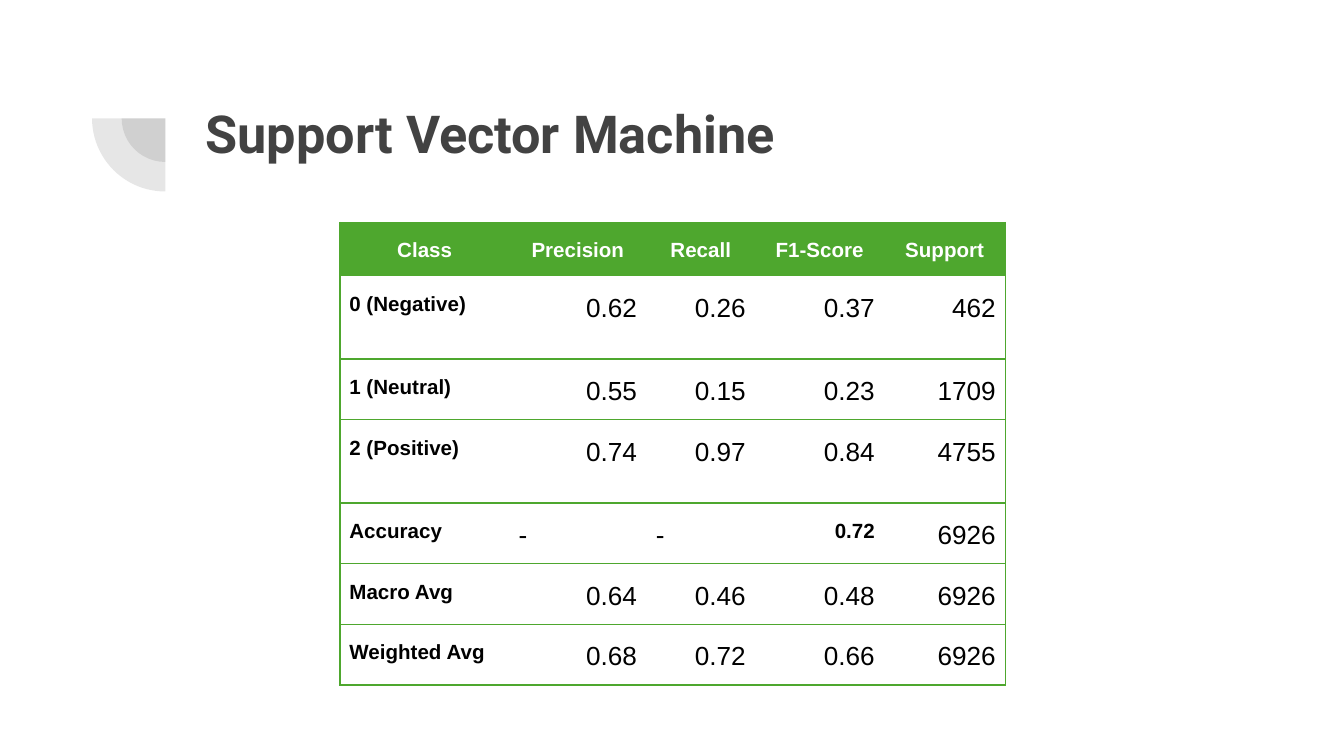
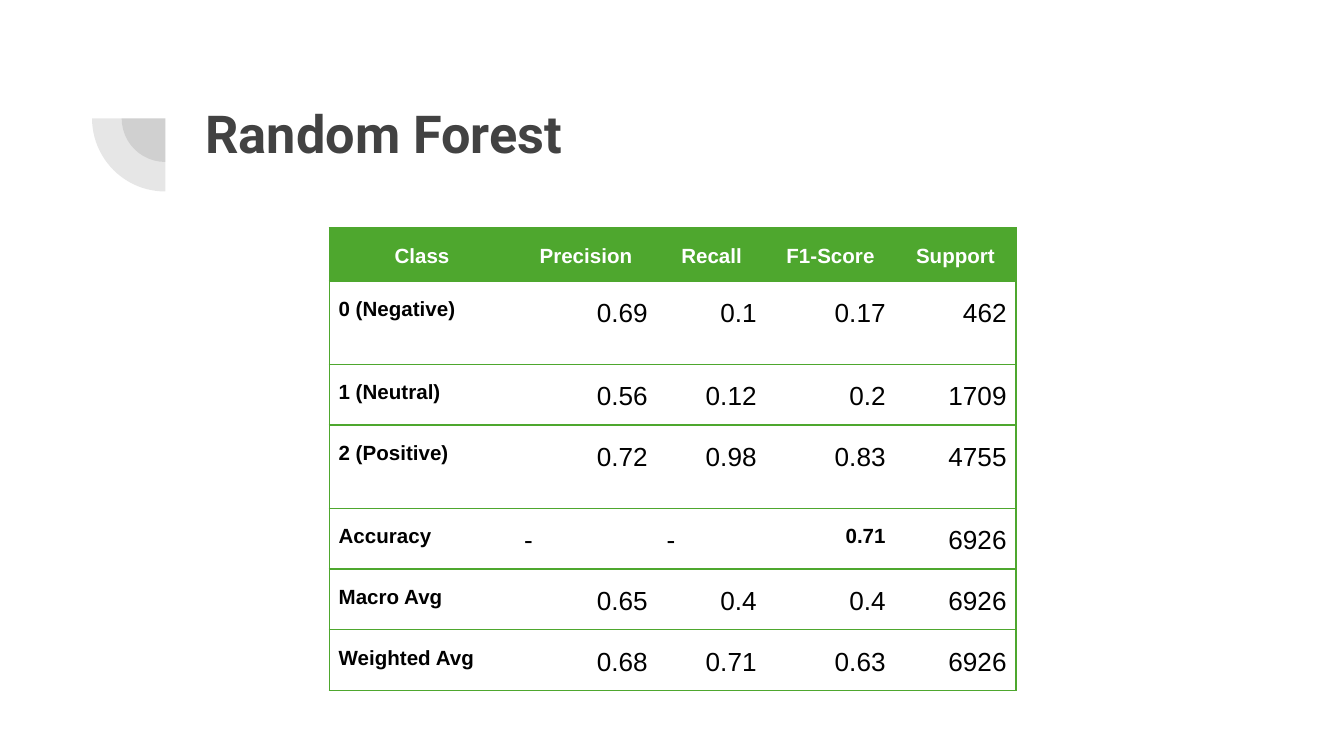
from dataclasses import dataclass

from lxml import etree
from pptx import Presentation
from pptx import util as u
from pptx.dml.color import RGBColor
from pptx.enum import shapes, text
from pptx.oxml import ns

HEADER = ("Class", "Precision", "Recall", "F1-Score", "Support")
SLIDES = [
    {
        "title": "Support Vector Machine",
        "corner": (2.53, 1.15),
        "columns": (1.26, 1.02, 0.81, 0.96, 0.9),
        "merge_top": True,
        "scores": [
            ("0 (Negative)", "0.62", "0.26", "0.37", "462"),
            ("1 (Neutral)", "0.55", "0.15", "0.23", "1709"),
            ("2 (Positive)", "0.74", "0.97", "0.84", "4755"),
            ("Accuracy", "-", "-", "0.72", "6926"),
            ("Macro Avg", "0.64", "0.46", "0.48", "6926"),
            ("Weighted Avg", "0.68", "0.72", "0.66", "6926"),
        ],
    },
    {
        "title": "Random Forest",
        "corner": (2.45, 1.19),
        "columns": (1.38, 1.06, 0.81, 0.96, 0.9),
        "merge_top": False,
        "scores": [
            ("0 (Negative)", "0.69", "0.1", "0.17", "462"),
            ("1 (Neutral)", "0.56", "0.12", "0.2", "1709"),
            ("2 (Positive)", "0.72", "0.98", "0.83", "4755"),
            ("Accuracy", "-", "-", "0.71", "6926"),
            ("Macro Avg", "0.65", "0.4", "0.4", "6926"),
            ("Weighted Avg", "0.68", "0.71", "0.63", "6926"),
        ],
    },
]
SLIDE_WIDTH = u.Inches(10)
SLIDE_HEIGHT = SLIDE_WIDTH * 9 // 16
ROW_HEIGHTS = (0.22, 0.21, 0.62, 0.42, 0.62, 0.21, 0.42, 0.42)
TITLE_BOX = (1.43, 0.65, 7.69, 0.67)
PIE_CENTRE = (1.23, 0.88)
PIE_SIZES = (0.65, 1.09)
NO_GRID_STYLE = "{2D5ABB26-0587-4C30-8999-92F81FD0307C}"


@dataclass(frozen=True)
class Theme:
    dark: str = "424242"
    green: str = "4EA72E"
    white: str = "FFFFFF"
    black: str = "000000"
    title_font: str = "Roboto"
    table_font: str = "Arial"
    title_size: int = 28
    label_size: int = 11
    value_size: int = 14
    line_spacing: float = 1.15
    border: float = 0.75
    pie_opacity: int = 13


THEME = Theme()


def inches(lengths):
    return [u.Inches(length) for length in lengths]


def set_margins(holder, side, end):
    holder.margin_left = holder.margin_right = u.Inches(side)
    holder.margin_top = holder.margin_bottom = u.Inches(end)


def add_span(para, words, font, size, colour, bold):
    span = para.add_run()
    span.text = words
    span.font.name = font
    span.font.size = u.Pt(size)
    span.font.bold = bold
    span.font.color.rgb = RGBColor.from_string(colour)


def add_layout_pies(layout, page):
    tree = layout.element.cSld.spTree
    for order, size in enumerate(PIE_SIZES):
        left, top = (middle - size / 2 for middle in PIE_CENTRE)
        pie = page.shapes.add_shape(shapes.MSO_SHAPE.PIE, *inches((left, top, size, size)))
        pie.adjustments[0], pie.adjustments[1] = 108, 162
        pie.rotation = 270
        pie.shadow.inherit = False
        pie.fill.solid()
        pie.fill.fore_color.rgb = RGBColor.from_string(THEME.dark)
        pie.line.fill.background()
        colour = pie.element.spPr.find(".//" + ns.qn("a:srgbClr"))
        etree.SubElement(colour, ns.qn("a:alpha"), val=str(THEME.pie_opacity * 1000))
        pie.element.nvSpPr.cNvPr.set("id", str(100 + order))
        tree.insert(2 + order, pie.element)


def add_title(page, words):
    title = page.shapes.title
    title.left, title.top, title.width, title.height = inches(TITLE_BOX)
    frame = title.text_frame
    frame.word_wrap = True
    frame.auto_size = text.MSO_AUTO_SIZE.NONE
    frame.vertical_anchor = text.MSO_ANCHOR.TOP
    set_margins(frame, 0.1, 0.1)
    para = frame.paragraphs[0]
    para.alignment = text.PP_ALIGN.LEFT
    add_span(para, words, THEME.title_font, THEME.title_size, THEME.dark, True)


def draw_borders(cell, sides):
    properties = cell._tc.get_or_add_tcPr()
    for order, side in enumerate(sides):
        line = etree.Element(ns.qn("a:ln" + side), w=str(u.Pt(THEME.border)))
        fill = etree.SubElement(line, ns.qn("a:solidFill"))
        etree.SubElement(fill, ns.qn("a:srgbClr"), val=THEME.green)
        properties.insert(order, line)


def write_cell(cell, words, is_header, bold, alignment):
    set_margins(cell, 0.07, 0.1)
    para = cell.text_frame.paragraphs[0]
    para.line_spacing = THEME.line_spacing
    para.alignment = alignment
    if is_header:
        cell.fill.solid()
        cell.fill.fore_color.rgb = RGBColor.from_string(THEME.green)
    size = THEME.label_size if bold else THEME.value_size
    colour = THEME.white if is_header else THEME.black
    add_span(para, words, THEME.table_font, size, colour, bold)


def choose_alignment(words, is_header, column):
    if is_header:
        return text.PP_ALIGN.CENTER
    if column == 0 or words == "-":
        return text.PP_ALIGN.LEFT
    return text.PP_ALIGN.RIGHT


def add_score_table(page, content):
    widths = content["columns"]
    box = (*content["corner"], sum(widths), sum(ROW_HEIGHTS))
    table = page.shapes.add_table(len(ROW_HEIGHTS), len(widths), *inches(box)).table
    table.first_row = table.horz_banding = False
    table._tbl.tblPr.find(ns.qn("a:tableStyleId")).text = NO_GRID_STYLE
    for column, width in zip(table.columns, widths):
        column.width = u.Inches(width)
    for row, height in zip(table.rows, ROW_HEIGHTS):
        row.height = u.Inches(height)
    for cell in table.rows[0].cells:
        set_margins(cell, 0.1, 0.1)
        draw_borders(cell, "B")
    if content["merge_top"]:
        table.cell(0, 0).merge(table.cell(0, 1))
    edges = {0: "LTB", len(widths) - 1: "RTB"}
    for row, values in enumerate([HEADER, *content["scores"]], start=1):
        is_header = values == HEADER
        for column, words in enumerate(values):
            cell = table.cell(row, column)
            is_accuracy = (values[0], HEADER[column]) == ("Accuracy", "F1-Score")
            bold = is_header or column == 0 or is_accuracy
            alignment = choose_alignment(words, is_header, column)
            write_cell(cell, words, is_header, bold, alignment)
            draw_borders(cell, edges.get(column, "TB"))


def main():
    deck = Presentation()
    deck.slide_width, deck.slide_height = SLIDE_WIDTH, SLIDE_HEIGHT
    layout = deck.slide_layouts[5]
    pages = [deck.slides.add_slide(layout) for _ in SLIDES]
    add_layout_pies(layout, pages[0])
    for page, content in zip(pages, SLIDES):
        add_title(page, content["title"])
        add_score_table(page, content)
    deck.save("out.pptx")


if __name__ == "__main__":
    main()
